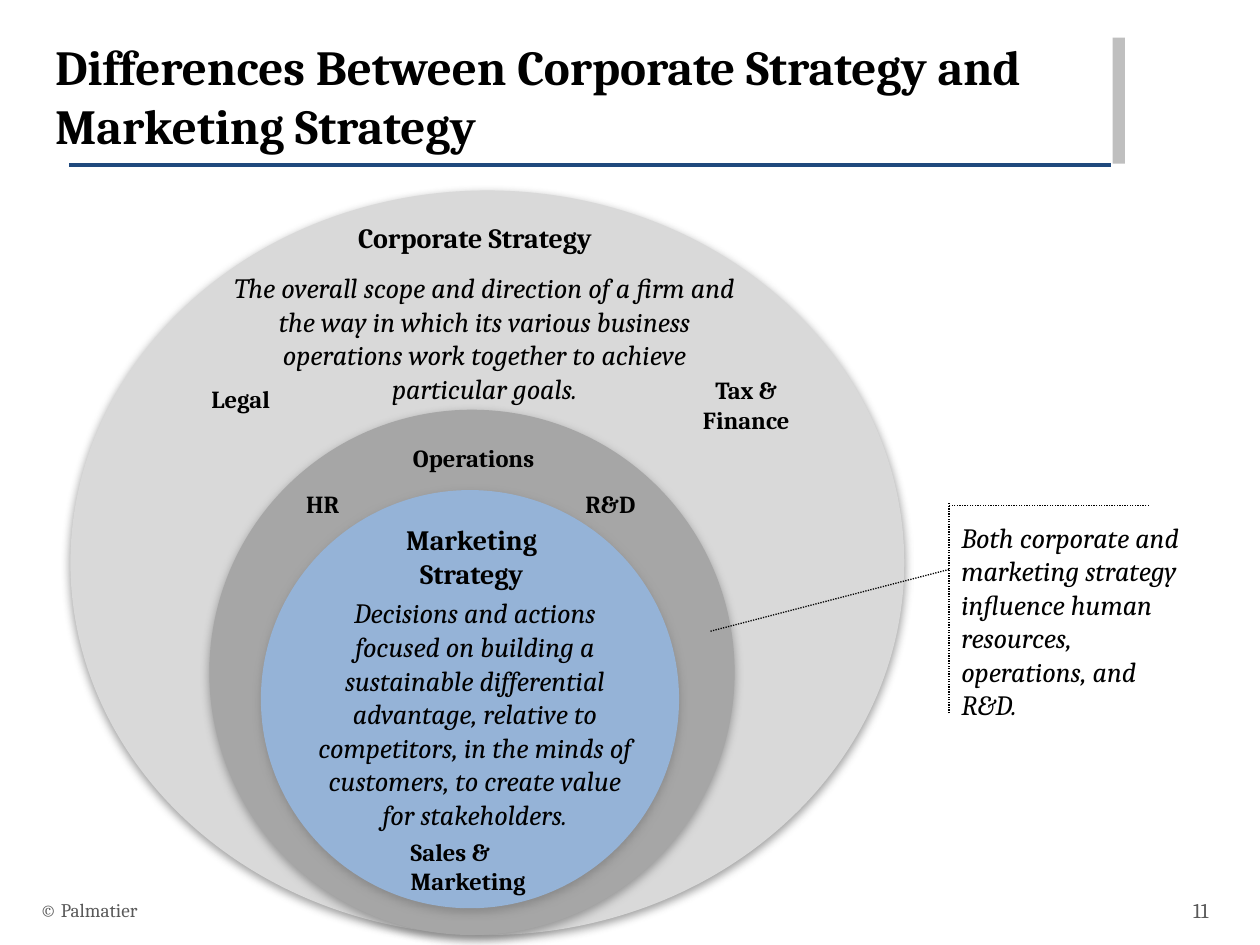
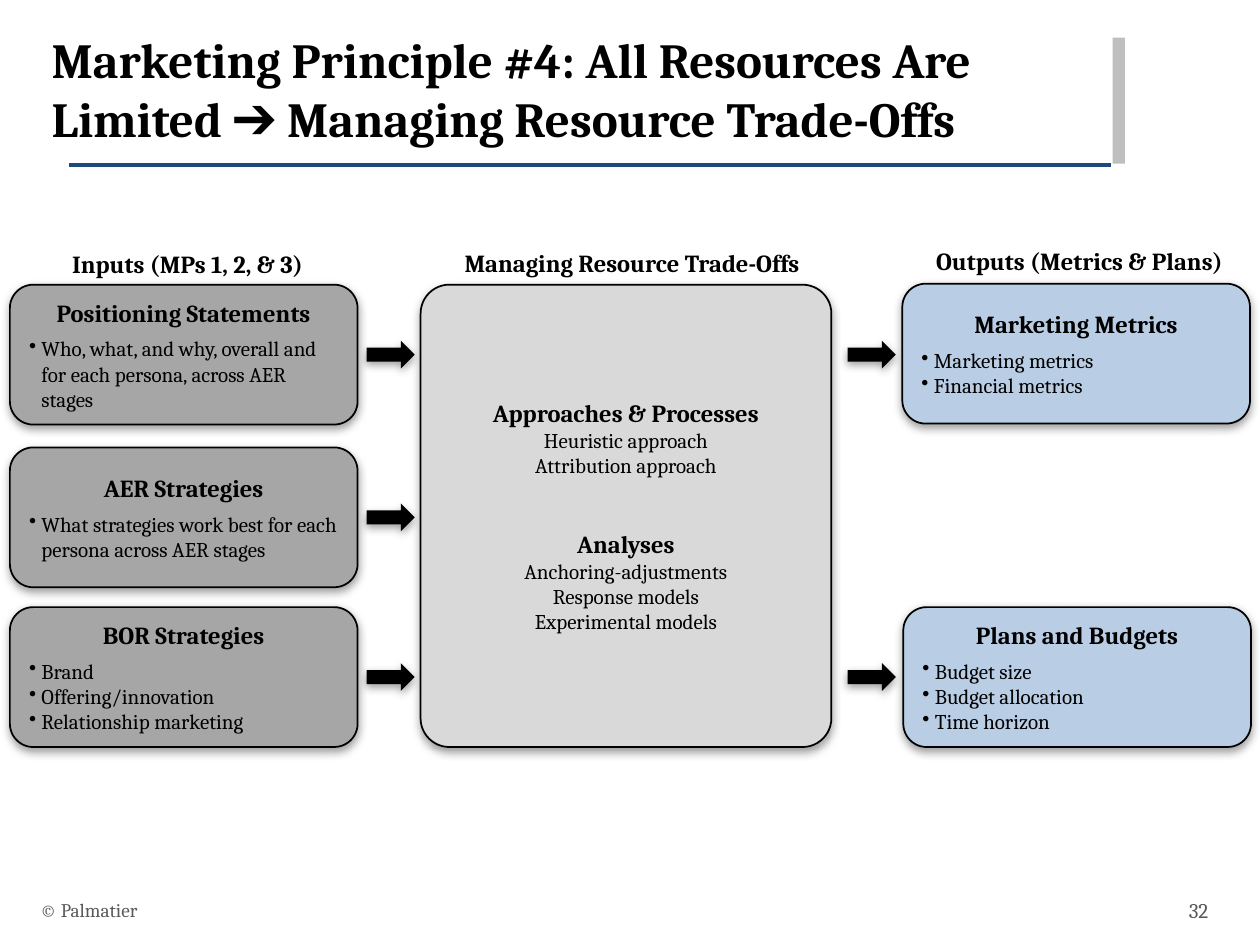
from dataclasses import dataclass

from lxml import etree
from pptx import Presentation
from pptx.dml.color import RGBColor
from pptx.enum.dml import MSO_LINE as Dash
from pptx.enum.shapes import MSO_CONNECTOR as Link, MSO_SHAPE as Form
from pptx.enum.text import MSO_ANCHOR as Anchor, PP_ALIGN as Align
from pptx.oxml.ns import qn
from pptx.slide import Slide
from pptx.util import Cm, Pt

FONT = "Cambria"
BLACK = RGBColor(0x00, 0x00, 0x00)
NAVY = RGBColor(0x1F, 0x49, 0x7D)
SLATE = RGBColor(0x59, 0x59, 0x59)
SILVER = RGBColor(0xBF, 0xBF, 0xBF)
PALE = RGBColor(0xD9, 0xD9, 0xD9)
GREY = RGBColor(0xA6, 0xA6, 0xA6)
BLUE = RGBColor(0x95, 0xB3, 0xD7)
SKY = RGBColor(0xB9, 0xCD, 0xE5)


@dataclass
class Box:
    """A place in centimetres."""
    x: float
    y: float
    w: float
    h: float

    def cm(self) -> tuple:
        return Cm(self.x), Cm(self.y), Cm(self.w), Cm(self.h)


@dataclass
class Para:
    text: str
    size: float = 14
    bold: bool = False
    slant: bool = False
    align: Align = Align.CENTER
    color: RGBColor = BLACK
    before: float = 0
    bullet: bool = False


@dataclass
class Label:
    box: Box
    para: Para


@dataclass
class Disc:
    box: Box
    fill: RGBColor


@dataclass
class Card:
    x: float
    y: float
    fill: RGBColor
    head: str
    items: list[str]


@dataclass
class Line:
    x1: float
    y1: float
    x2: float
    y2: float


# Drawing helpers
def write(frame, paras: list[Para], anchor: Anchor = Anchor.TOP) -> None:
    frame.word_wrap = True
    frame.vertical_anchor = anchor
    for i, para in enumerate(paras):
        line = frame.add_paragraph() if i else frame.paragraphs[0]
        line.text = para.text
        line.alignment = para.align
        if para.before:
            line.space_before = Pt(para.before)
        if para.bullet:
            props = line._p.get_or_add_pPr()
            props.set("marL", str(Cm(0.25)))
            props.set("indent", str(-Cm(0.25)))
            etree.SubElement(props, qn("a:buChar"), char="•")
        for run in line.runs:
            font = run.font
            font.name, font.size = FONT, Pt(para.size)
            font.bold, font.italic = para.bold, para.slant
            font.color.rgb = para.color


def add_text(slide: Slide, box: Box, para: Para,
             anchor: Anchor = Anchor.TOP) -> None:
    write(slide.shapes.add_textbox(*box.cm()).text_frame, [para], anchor)


def add_form(slide: Slide, form: Form, box: Box, fill: RGBColor,
             edge: bool = False, shade: bool = True):
    shape = slide.shapes.add_shape(form, *box.cm())
    shape.fill.solid()
    shape.fill.fore_color.rgb = fill
    if edge:
        shape.line.color.rgb = BLACK
        shape.line.width = Pt(1)
    else:
        shape.line.fill.background()
    shape.shadow.inherit = False
    if shade:
        effects = shape._element.spPr.find(qn("a:effectLst"))
        outer = etree.SubElement(
            effects, qn("a:outerShdw"), blurRad=str(Pt(5)), dist=str(Pt(2)),
            dir="5400000", algn="ctr", rotWithShape="0")
        color = etree.SubElement(outer, qn("a:srgbClr"), val="808080")
        etree.SubElement(color, qn("a:alpha"), val="75000")
    return shape


def add_line(slide: Slide, line: Line, color: RGBColor, width: float,
             dash: Dash | None = None) -> None:
    link = slide.shapes.add_connector(
        Link.STRAIGHT, Cm(line.x1), Cm(line.y1), Cm(line.x2), Cm(line.y2))
    link.line.color.rgb = color
    link.line.width = Pt(width)
    if dash:
        link.line.dash_style = dash
    etree.SubElement(link._element.spPr, qn("a:effectLst"))


# Shared frame: rule, bar, title and footer
def add_page(deck, title: str, x: float, y: float, number: int) -> Slide:
    slide = deck.slides.add_slide(deck.slide_layouts[6])
    add_line(slide, Line(1.4, 3.33, 22.4, 3.33), NAVY, 2)
    add_form(slide, Form.RECTANGLE, Box(22.43, 0.76, 0.25, 2.54), SILVER,
             shade=False)
    add_text(slide, Box(x, y, 20.98, 2.24),
             Para(title, 28, bold=True, align=Align.LEFT))
    add_text(slide, Box(0.56, 17.83, 17.02, 1.02),
             Para("© Palmatier", 11, align=Align.LEFT, color=SLATE),
             Anchor.MIDDLE)
    add_text(slide, Box(23.06, 17.83, 1.55, 1.02),
             Para(str(number), 12, align=Align.RIGHT, color=SLATE),
             Anchor.MIDDLE)
    return slide


def head(text: str, size: float = 14, align: Align = Align.CENTER,
         before: float = 0) -> Para:
    return Para(text, size, bold=True, align=align, before=before)


def prose(text: str, align: Align = Align.CENTER) -> Para:
    return Para(text, 16, slant=True, align=align)


# Slide 1: nested discs
DISCS = [
    Disc(Box(1.42, 3.84, 16.81, 15.01), PALE),
    Disc(Box(4.22, 8.26, 10.59, 10.59), GREY),
    Disc(Box(5.26, 9.88, 8.43, 8.43), BLUE),
]
NOTE_X = 19.13
LABELS = [
    Label(Box(5.92, 9.73, 1.78, 0.86), head("HR", align=Align.LEFT)),
    Label(Box(7.01, 8.81, 5.08, 0.86), head("Operations")),
    Label(Box(10.82, 9.73, 2.97, 0.86), head("R&D")),
    Label(Box(7.67, 10.41, 3.68, 1.63), head("Marketing Strategy", 16)),
    Label(Box(6.55, 4.32, 6.05, 0.94), head("Corporate Strategy", 16)),
    Label(Box(6.07, 11.89, 7.01, 5.82), prose(
        "Decisions and actions focused on building a sustainable differential "
        "advantage, relative to competitors, in the minds of customers, to "
        "create value for stakeholders.")),
    Label(Box(4.27, 5.33, 11, 3.51), prose(
        "The overall scope and direction of a firm and the way in which its "
        "various business operations work together to achieve particular "
        "goals.")),
    Label(Box(NOTE_X, 10.36, 5, 4.37), prose(
        "Both corporate and marketing strategy influence human resources, "
        "operations, and R&D.", Align.LEFT)),
    Label(Box(4.01, 7.62, 1.78, 0.86), head("Legal", align=Align.LEFT)),
    Label(Box(13.56, 7.44, 2.97, 1.45), head("Tax & Finance")),
    Label(Box(8.03, 16.74, 4.34, 1.45),
          head("Sales & Marketing", align=Align.LEFT)),
]
DOTS = [
    Line(NOTE_X, 14.38, NOTE_X, 10.13),
    Line(23.16, 10.19, NOTE_X, 10.19),
    Line(NOTE_X, 11.48, 14.3, 12.73),
]


def add_scopes(deck) -> None:
    slide = add_page(
        deck, "Differences Between Corporate Strategy and Marketing Strategy",
        0.86, 0.61, 11)
    for disc in DISCS:
        add_form(slide, Form.OVAL, disc.box, disc.fill)
    for label in LABELS:
        add_text(slide, label.box, label.para)
    for dot in DOTS:
        add_line(slide, dot, BLACK, 0.75, Dash.ROUND_DOT)


# Slide 2: inputs, process, outputs
CARD_W, CARD_H = 7.01, 2.82
ARROW_W, ARROW_H = 0.97, 0.56
ROWS = [5.74, 9.02, 12.24]
IN_X, OUT_X = 7.39, 17.09
HEADS = [
    Label(Box(8.2, 4.88, 9.09, 0.86), head("Managing Resource Trade-Offs")),
    Label(Box(0.33, 4.9, 6.91, 0.86), head("Inputs (MPs 1, 2, & 3)")),
    Label(Box(17.83, 4.83, 7.87, 0.86), head("Outputs (Metrics & Plans)")),
]
CARDS = [
    Card(0.2, ROWS[0], GREY, "Positioning Statements", [
        "Who, what, and why, overall and for each persona, across AER "
        "stages"]),
    Card(0.2, ROWS[1], GREY, "AER Strategies", [
        "What strategies work best for each persona across AER stages"]),
    Card(0.2, ROWS[2], GREY, "BOR Strategies", [
        "Brand", "Offering/innovation", "Relationship marketing"]),
    Card(18.19, 5.72, SKY, "Marketing Metrics", [
        "Marketing metrics", "Financial metrics"]),
    Card(18.21, ROWS[2], SKY, "Plans and Budgets", [
        "Budget size", "Budget allocation", "Time horizon"]),
]
CORE = [
    head("Approaches & Processes"),
    Para("Heuristic approach", 12),
    Para("Attribution approach", 12),
    head("Analyses", before=29),
    Para("Anchoring-adjustments", 12),
    Para("Response models", 12),
    Para("Experimental models", 12),
]


def add_card(slide: Slide, card: Card) -> None:
    shape = add_form(slide, Form.ROUNDED_RECTANGLE,
                     Box(card.x, card.y, CARD_W, CARD_H), card.fill, edge=True)
    items = [Para(item, 12, align=Align.LEFT, bullet=True,
                  before=0 if i else 5)
             for i, item in enumerate(card.items)]
    write(shape.text_frame, [head(card.head), *items], Anchor.MIDDLE)


def add_flow(deck) -> None:
    slide = add_page(
        deck, "Marketing Principle #4: All Resources Are Limited ➔ "
        "Managing Resource Trade-Offs", 0.79, 0.48, 32)
    for label in HEADS:
        add_text(slide, label.box, label.para)
    core = add_form(slide, Form.ROUNDED_RECTANGLE,
                    Box(8.48, ROWS[0], 8.28, 9.32), PALE, edge=True)
    core.adjustments[0] = 0.07
    write(core.text_frame, CORE, Anchor.MIDDLE)
    for card in CARDS:
        add_card(slide, card)
    # Arrows sit at mid-height of each row of cards
    for x, rows in ((IN_X, ROWS), (OUT_X, ROWS[::2])):
        for y in rows:
            add_form(slide, Form.RIGHT_ARROW,
                     Box(x, y + (CARD_H - ARROW_H) / 2, ARROW_W, ARROW_H),
                     BLACK)


def main() -> None:
    deck = Presentation()
    deck.slide_width, deck.slide_height = Cm(25.4), Cm(19.05)
    add_scopes(deck)
    add_flow(deck)
    deck.save("out.pptx")


if __name__ == "__main__":
    main()
